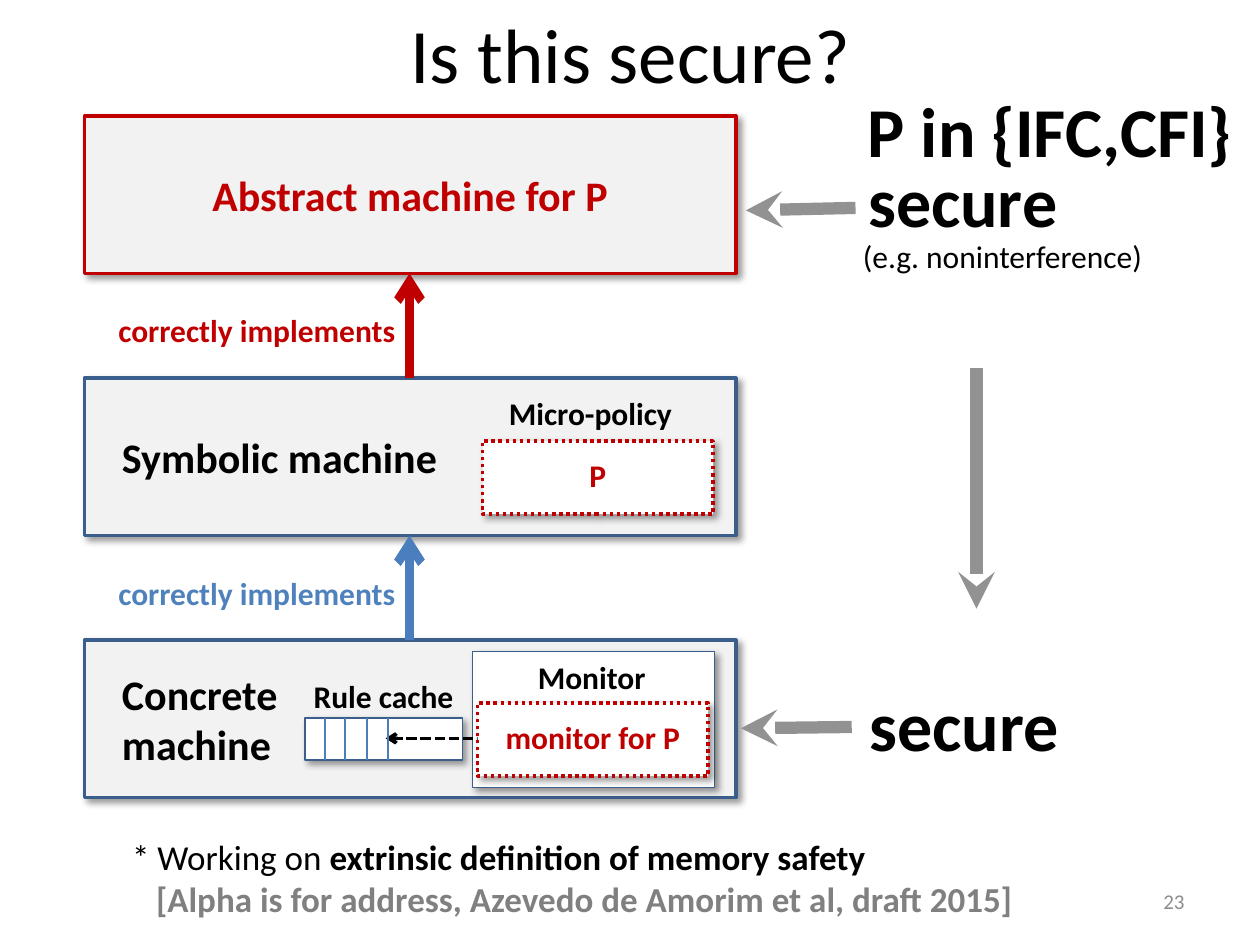
from dataclasses import dataclass
from typing import Optional

from lxml.etree import SubElement
from pptx import Presentation
from pptx.dml.color import RGBColor
from pptx.enum.dml import MSO_LINE
from pptx.enum.shapes import MSO_CONNECTOR, MSO_SHAPE
from pptx.enum.text import MSO_ANCHOR, PP_ALIGN
from pptx.oxml.ns import qn
from pptx.util import Emu, Pt

PX = 9144  # 100 px to the inch
FONT = "Calibri"
BLACK, WHITE, PALE, GREY = "000000", "FFFFFF", "F2F2F2", "929292"
RED, NAVY, BLUE = "C00000", "3A5F8C", "4B7EBC"


@dataclass
class Box:
    x: int
    y: int
    w: int
    h: int
    fill: str
    line: str
    weight: int = 2
    dash: Optional[MSO_LINE] = None
    text: str = ""
    size: int = 24
    color: str = BLACK
    indent: int = 0
    spacing: float = 1.0


@dataclass
class Label:
    x: int
    y: int
    w: int
    h: int
    text: str
    size: int = 18
    color: str = BLACK
    bold: bool = True
    inset: int = 10
    align: PP_ALIGN = PP_ALIGN.LEFT


@dataclass
class Line:
    x1: int
    y1: int
    x2: int
    y2: int
    color: str
    weight: int
    arrow: str = ""
    dash: Optional[MSO_LINE] = None


def px(n: int) -> Emu:
    return Emu(n * PX)


def rgb(color: str) -> RGBColor:
    return RGBColor.from_string(color)


def format_run(r, size: int, color: str, bold: bool) -> None:
    r.font.name, r.font.size, r.font.bold = FONT, Pt(size), bold
    r.font.color.rgb = rgb(color)


def add_shadow(sp) -> None:
    sp.shadow.inherit = False
    effects = sp._element.spPr.find(qn("a:effectLst"))
    shadow = SubElement(effects, qn("a:outerShdw"), blurRad=str(Pt(4)), dist=str(Pt(3)),
                        dir="2700000", algn="tl", rotWithShape="0")
    shade = SubElement(shadow, qn("a:srgbClr"), val=BLACK)
    SubElement(shade, qn("a:alpha"), val="40000")


def add_box(s, b: Box) -> None:
    sp = s.shapes.add_shape(MSO_SHAPE.RECTANGLE, px(b.x), px(b.y), px(b.w), px(b.h))
    sp.fill.solid()
    sp.fill.fore_color.rgb = rgb(b.fill)
    sp.line.color.rgb = rgb(b.line)
    sp.line.width = Pt(b.weight)
    if b.dash:
        sp.line.dash_style = b.dash
    add_shadow(sp)
    if not b.text:
        return
    tf = sp.text_frame
    tf.text = b.text
    tf.vertical_anchor = MSO_ANCHOR.MIDDLE
    for p in tf.paragraphs:
        p.alignment = PP_ALIGN.LEFT if b.indent else PP_ALIGN.CENTER
        p.line_spacing = b.spacing
        if b.indent:
            p._p.get_or_add_pPr().set("marL", str(px(b.indent)))
        format_run(p.runs[0], b.size, b.color, True)


def add_label(s, t: Label) -> None:
    tf = s.shapes.add_textbox(px(t.x), px(t.y), px(t.w), px(t.h)).text_frame
    tf.word_wrap = False
    tf.vertical_anchor = MSO_ANCHOR.MIDDLE
    tf.margin_left = tf.margin_right = px(t.inset)
    p = tf.paragraphs[0]
    p.text, p.alignment = t.text, t.align
    format_run(p.runs[0], t.size, t.color, t.bold)


def add_line(s, n: Line) -> None:
    c = s.shapes.add_connector(MSO_CONNECTOR.STRAIGHT, px(n.x1), px(n.y1), px(n.x2), px(n.y2))
    c.line.color.rgb = rgb(n.color)
    c.line.width = Pt(n.weight)
    if n.dash:
        c.line.dash_style = n.dash
    if n.arrow:
        SubElement(c.line._get_or_add_ln(), qn("a:tailEnd"), type=n.arrow)
    SubElement(c._element.spPr, qn("a:effectLst"))


def add_title(s, text: str) -> None:
    title = s.shapes.title
    title.left, title.top, title.width, title.height = px(314), px(0), px(373), px(84)
    tf = title.text_frame
    tf.text = text
    tf.word_wrap = False
    format_run(tf.paragraphs[0].runs[0], 44, BLACK, False)


def add_footnote(s) -> None:
    tf = s.shapes.add_textbox(px(95), px(658), px(725), px(77)).text_frame
    tf.word_wrap = True
    lines = [
        [("* Working on ", BLACK, False), ("extrinsic definition of memory safety", BLACK, True)],
        [("[Alpha is for address, Azevedo de Amorim et al, draft 2015]", "808080", True)],
    ]
    for i, runs in enumerate(lines):
        p = tf.add_paragraph() if i else tf.paragraphs[0]
        p._p.get_or_add_pPr().set("marL", str(px(19 * i)))
        for text, color, bold in runs:
            r = p.add_run()
            r.text = text
            format_run(r, 20, color, bold)


# Three machine levels, evenly stacked
LEFT, WIDTH, HEIGHT = 67, 517, 125
ABSTRACT, SYMBOLIC, CONCRETE = (92 + 208 * i for i in range(3))
MIDDLE = LEFT + WIDTH // 2
DOTS = MSO_LINE.ROUND_DOT

MACHINES = [
    Box(LEFT, ABSTRACT, WIDTH, HEIGHT, PALE, RED, text="Abstract machine for P", color=RED),
    Box(LEFT, SYMBOLIC, WIDTH, HEIGHT, PALE, NAVY, text="Symbolic machine", indent=20),
    Box(LEFT, CONCRETE, WIDTH, HEIGHT, PALE, NAVY, text="Concrete\nmachine", indent=20),
]
PARTS = [
    Box(375, 517, 192, 108, WHITE, NAVY, 1),  # monitor panel
    Box(242, 570, 125, 33, WHITE, NAVY, 1),  # rule cache
]
CACHE_LINES = [Line(398, 586, 306, 586, BLACK, 2, "arrow", MSO_LINE.SQUARE_DOT)] + [
    Line(x, 570, x, 603, BLUE, 1) for x in (258, 274, 291, 308)
]
POLICIES = [
    Box(383, 350, 183, 58, WHITE, RED, dash=DOTS, text="P", size=18, color=RED, spacing=0.9),
    Box(379, 558, 183, 58, WHITE, RED, dash=DOTS, text="monitor for P", size=18, color=RED,
        spacing=0.9),
]
ARROWS = [
    Line(MIDDLE, SYMBOLIC, MIDDLE, ABSTRACT + HEIGHT, RED, 5, "arrow"),
    Line(MIDDLE, CONCRETE, MIDDLE, SYMBOLIC + HEIGHT, BLUE, 5, "arrow"),
    Line(679, 165, 592, 167, GREY, 7, "stealth"),
    Line(676, 577, 588, 578, GREY, 7, "stealth"),
    Line(775, 292, 775, 483, GREY, 7, "stealth"),
]
LABELS = [
    Label(417, 517, 106, 40, "Monitor"),
    Label(239, 532, 132, 40, "Rule cache"),
    Label(394, 308, 156, 40, "Micro-policy"),
    Label(84, 242, 241, 40, "correctly implements", color=RED),
    Label(84, 451, 241, 40, "correctly implements", color="4F81BD"),
    Label(679, 64, 312, 77, "P in {IFC,CFI}", 40),
    Label(685, 133, 165, 50, "secure", 40, inset=4),
    Label(686, 538, 214, 72, "secure", 40, inset=4),
    Label(675, 183, 245, 40, "(e.g. noninterference)", bold=False),
    Label(717, 695, 233, 40, "23", 12, "8C8C8C", False, align=PP_ALIGN.RIGHT),
]


def main() -> None:
    prs = Presentation()
    prs.slide_width, prs.slide_height = px(1000), px(750)
    s = prs.slides.add_slide(prs.slide_layouts[5])
    add_title(s, "Is this secure?")
    for b in MACHINES + PARTS:
        add_box(s, b)
    for n in CACHE_LINES + ARROWS:
        add_line(s, n)
    for b in POLICIES:
        add_box(s, b)
    for t in LABELS:
        add_label(s, t)
    add_footnote(s)
    prs.save("out.pptx")


if __name__ == "__main__":
    main()
